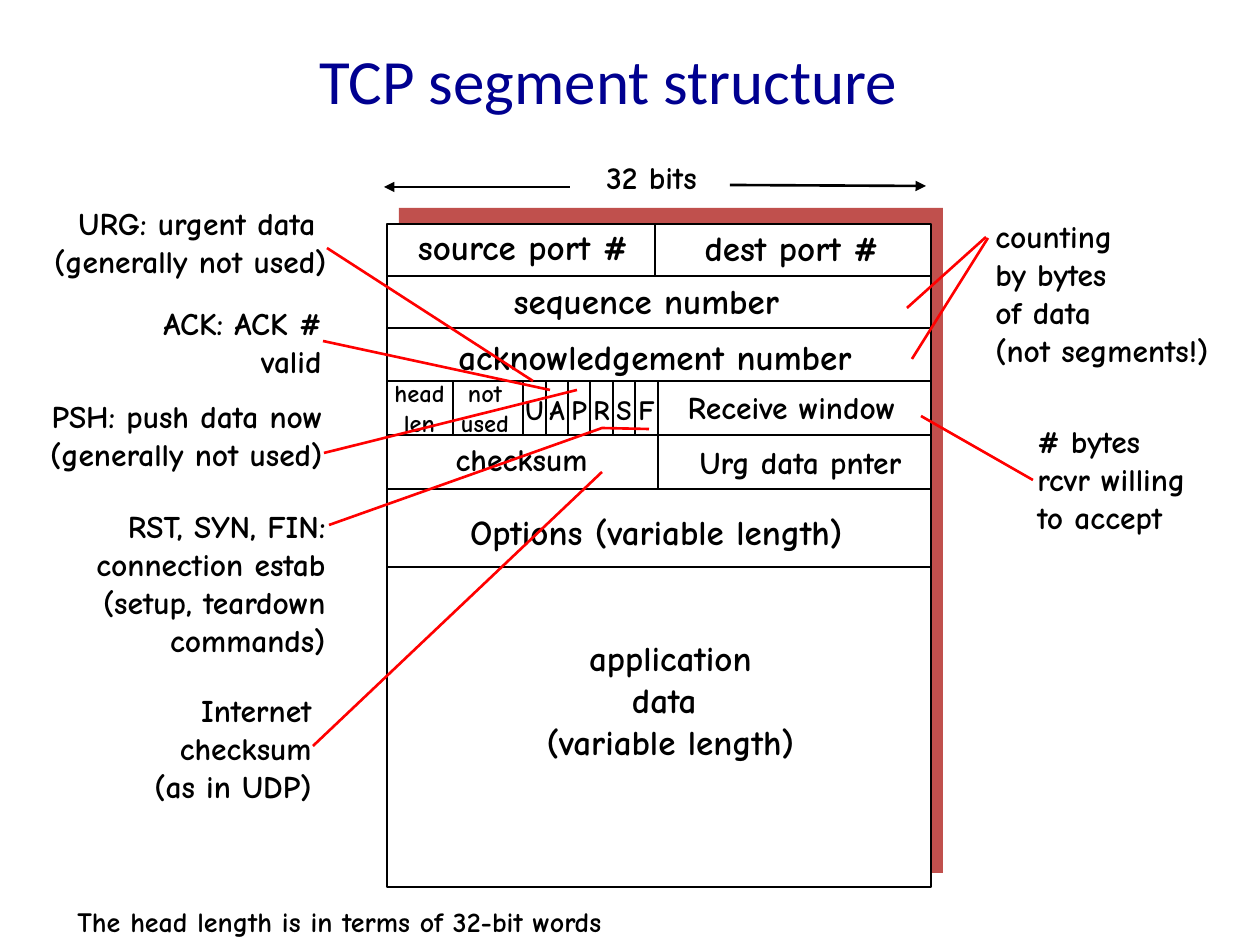
from itertools import pairwise

from lxml.etree import SubElement
from pptx import Presentation
from pptx.dml.color import RGBColor
from pptx.enum.shapes import MSO_CONNECTOR as CONNECTOR, MSO_SHAPE as SHAPE
from pptx.enum.text import MSO_ANCHOR as ANCHOR, MSO_AUTO_SIZE as AUTO_SIZE, PP_ALIGN as ALIGN
from pptx.oxml.ns import qn
from pptx.util import Pt

PX = 914400 / 126
COLORS = {"title": "000090", "ink": "000000", "paper": "FFFFFF", "backing": "C0504D", "pointer": "FF0000"}
RGB = {role: RGBColor.from_string(value) for role, value in COLORS.items()}

prs = Presentation()
prs.slide_width, prs.slide_height = round(1260 * PX), round(945 * PX)
slide = prs.slides.add_slide(prs.slide_layouts[6])


def add_text(lines, left, top, width, height, size, align=ALIGN.CENTER):
    box = slide.shapes.add_textbox(*(round(n * PX) for n in (left, top, width, height)))
    frame = box.text_frame
    frame.text = "\n".join(lines)
    frame.word_wrap = False
    frame.auto_size = AUTO_SIZE.SHAPE_TO_FIT_TEXT
    for paragraph in frame.paragraphs:
        paragraph.alignment = align
        font = paragraph.font
        font.name, font.size, font.bold = "Comic Neue", Pt(size), True
        font.color.rgb = RGB["ink"]
    return frame


def add_line(x1, y1, x2, y2, color="ink", arrow=False):
    line = slide.shapes.add_connector(CONNECTOR.STRAIGHT, *(round(n * PX) for n in (x1, y1, x2, y2)))
    line.line.color.rgb = RGB[color]
    line.line.width = Pt(1.5)
    if arrow:
        SubElement(line.line._get_or_add_ln(), qn("a:tailEnd"), type="triangle")
    SubElement(line._element.spPr, qn("a:effectLst"))


title = add_text(["TCP segment structure"], 73, 26, 1071, 107, 36)
title.word_wrap, title.auto_size = True, AUTO_SIZE.NONE
title.vertical_anchor = ANCHOR.MIDDLE
title_font = title.paragraphs[0].font
title_font.name, title_font.bold = "Calibri", False
title_font.color.rgb = RGB["title"]

for left, top, width, height, fill in [(399, 208, 544, 665, "backing"), (387, 224, 544, 663, "paper")]:
    panel = slide.shapes.add_shape(SHAPE.RECTANGLE, *(round(n * PX) for n in (left, top, width, height)))
    panel.shadow.inherit = False
    panel.fill.solid()
    panel.fill.fore_color.rgb = RGB[fill]
    if fill == "paper":
        panel.line.color.rgb = RGB["ink"]
        panel.line.width = Pt(1.5)
    else:
        panel.line.fill.background()

for row_y in (276, 328, 381, 435, 489, 567):
    add_line(387, row_y, 931, row_y)
add_line(655, 224, 655, 277)
add_line(658, 435, 658, 489)

flag_edges = (523, 546, 568, 590, 613, 635, 658)
for x in (453, *flag_edges):
    add_line(x, 381, x, 435)
for flag, (left, right) in zip("UAPRSF", pairwise(flag_edges)):
    add_text([flag], (left + right) / 2 - 22, 386, 44, 47, 16)

add_line(730, 185, 926, 186, arrow=True)
add_line(570, 187, 384, 187, arrow=True)

fields = [
    (["32 bits"], 586, 152, 131, 50, 18),
    (["source port #"], 396, 219, 254, 54, 20),
    (["dest port #"], 682, 220, 219, 54, 20),
    (["sequence number"], 475, 273, 343, 54, 20),
    (["acknowledgement number"], 420, 329, 470, 54, 20),
    (["head", "len"], 380, 372, 79, 72, 14),
    (["not", "used"], 446, 372, 78, 72, 14),
    (["Receive window"], 666, 382, 251, 50, 18),
    (["checksum"], 438, 434, 167, 50, 18),
    (["Urg data pnter"], 678, 437, 245, 50, 18),
    (["Options (variable length)"], 441, 504, 431, 54, 20),
    (["application", "data ", "(variable length)"], 524, 630, 293, 139, 20),
    (["The head length is in terms of 32-bit words"], 38, 898, 603, 47, 16),
]
for field in fields:
    add_text(*field)

left_notes = [
    (["URG: urgent data ", "(generally not used)"], 24, 198, 315, 88),
    (["ACK: ACK #", "valid"], 131, 298, 203, 88),
    (["PSH: push data now", "(generally not used)"], 20, 391, 315, 88),
    (["RST, SYN, FIN:", "connection estab", "(setup, teardown", "commands)"], 66, 501, 272, 164),
    (["Internet", "checksum", "(as in UDP)"], 137, 685, 187, 126),
]
right_notes = [
    (["counting", "by bytes", "of data", "(not segments!)"], 983, 211, 251, 164),
    (["# bytes", "rcvr willing", "to accept"], 1025, 416, 185, 126),
]
for notes, align in [(left_notes, ALIGN.RIGHT), (right_notes, ALIGN.LEFT)]:
    for note in notes:
        add_text(*note, 18, align)

pointers = [
    (327, 248, 533, 381),
    (323, 341, 550, 390),
    (324, 453, 577, 390),
    (313, 746, 602, 472),
    (1033, 480, 921, 416),
    (988, 238, 912, 359),
    (986, 237, 907, 308),
]
for pointer in pointers:
    add_line(*pointer, color="pointer")

connection_path = slide.shapes.build_freeform(329, 525, scale=PX)
connection_path.add_line_segments([(602, 428), (649, 429)], close=False)
connection_pointer = connection_path.convert_to_shape()
connection_pointer.shadow.inherit = False
connection_pointer.fill.background()
connection_pointer.line.color.rgb = RGB["pointer"]
connection_pointer.line.width = Pt(1.5)

prs.save("out.pptx")
